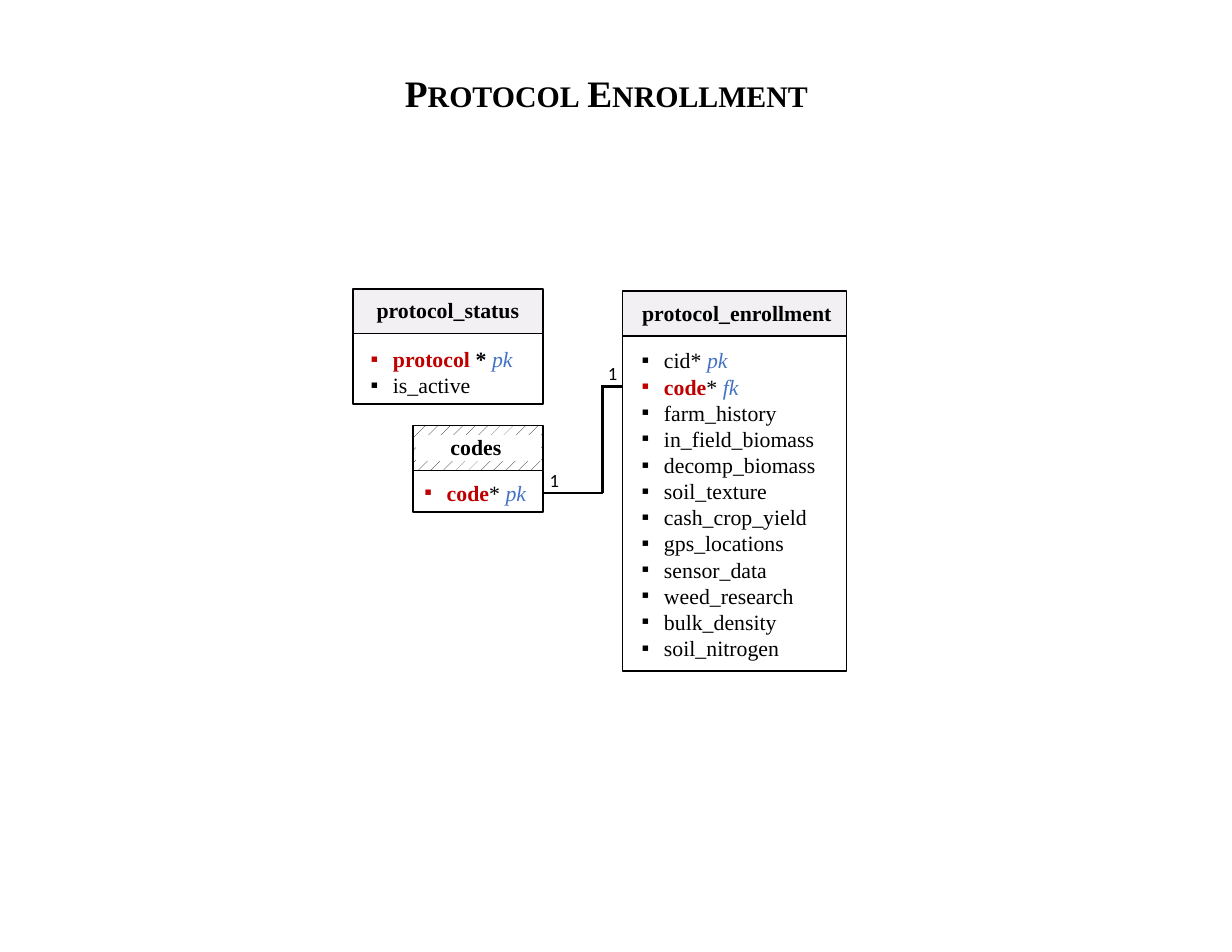
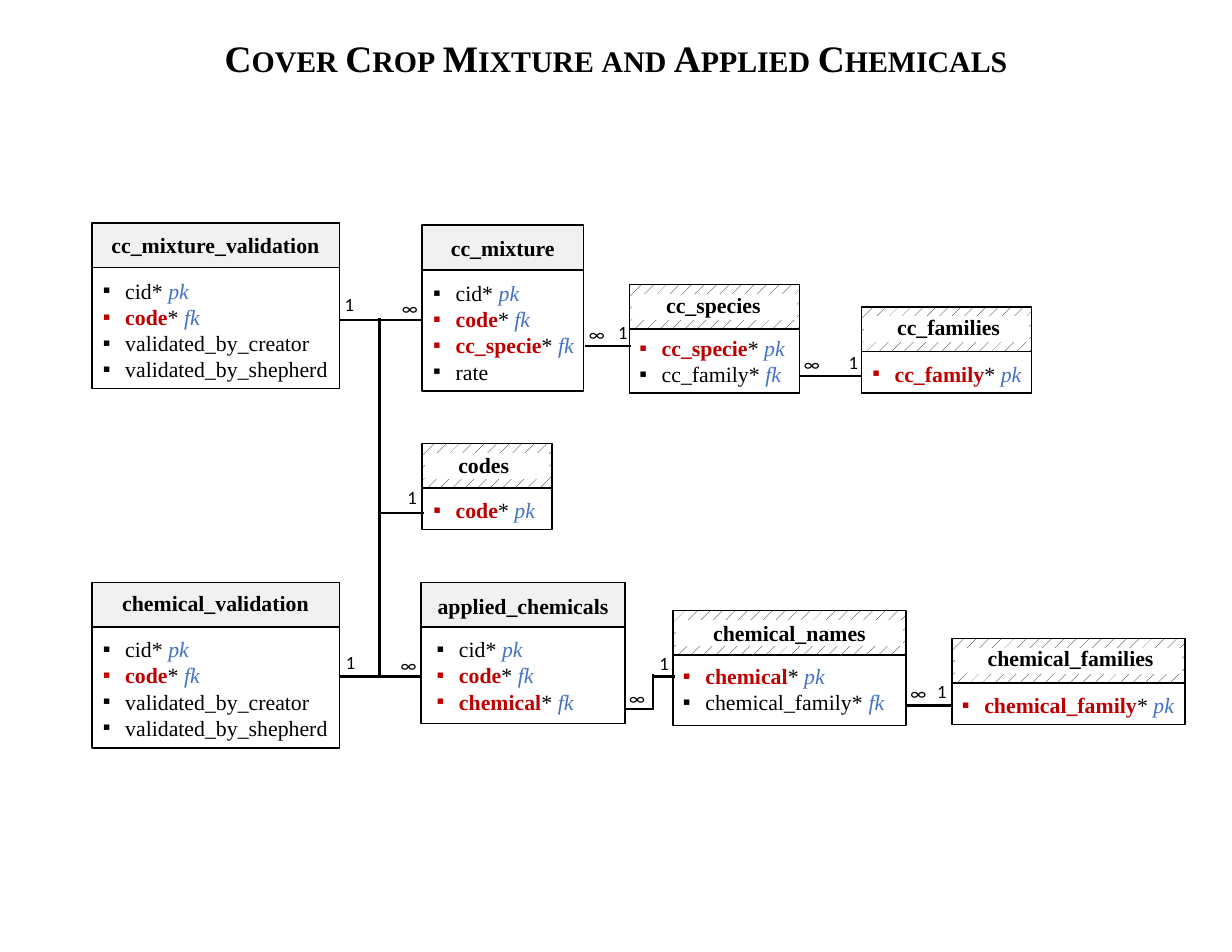
from lxml import etree
from pptx import Presentation
from pptx.dml.color import RGBColor
from pptx.enum import dml, shapes, text
from pptx.oxml.ns import qn
from pptx.util import Inches, Pt

COLORS = {"ink": "000000", "paper": "FFFFFF", "header": "F2F0F3",
          "link": "C00000", "key": "4472C4"}
SERIF, SANS = "Times New Roman", "Calibri"
HEADER_H = 0.4

# Run styles
STYLES = {
    "title": {"name": SERIF, "size": 24, "bold": True, "color": "ink"},
    "strong": {"name": SERIF, "size": 14, "bold": True, "color": "ink"},
    "plain": {"name": SERIF, "size": 14, "color": "ink"},
    "link": {"name": SERIF, "size": 14, "bold": True, "color": "link"},
    "key": {"name": SERIF, "size": 14, "italic": True, "color": "key"},
    "count": {"name": SANS, "size": 12, "color": "ink"},
}


# Field rows, each a list of (text, style) runs
def plain(name):
    return [(name, "plain")]


def keyed(name, key, style="plain"):
    return [(name, style), ("* ", "plain"), (key, "key")]


def link(name, key):
    return keyed(name, key, "link")


CID, CODE_FK, CODE_PK = keyed("cid", "pk"), link("code", "fk"), link("code", "pk")
VALIDATION = [CID, CODE_FK, plain("validated_by_creator"),
              plain("validated_by_shepherd")]
STATUS = [[("protocol", "link"), (" * ", "strong"), ("pk", "key")],
          plain("is_active")]
ENROLLMENT = [CID, CODE_FK] + [plain(name) for name in (
    "farm_history", "in_field_biomass", "decomp_biomass", "soil_texture",
    "cash_crop_yield", "gps_locations", "sensor_data", "weed_research",
    "bulk_density", "soil_nitrogen")]
MIXTURE = [CID, CODE_FK, link("cc_specie", "fk"), plain("rate")]
SPECIES = [link("cc_specie", "pk"), keyed("cc_family", "fk")]
CHEMICALS = [CID, CODE_FK, link("chemical", "fk")]
CHEM_NAMES = [link("chemical", "pk"), keyed("chemical_family", "fk")]

# Entities: name, is lookup, (left, top, width, body height),
#           name offset, fields offset, fields
# Lines: x1, y1, x2, y2; counts: text, left, top
SLIDES = [
    {
        "title": ("Protocol Enrollment", (2.3, 0.58, 6.23, 0.5)),
        "entities": [
            ("protocol_status", False, (3.15, 2.58, 1.7, 0.63),
             (0, 0.02), (0.06, 0.06), STATUS),
            ("codes", True, (3.69, 3.8, 1.16, 0.37),
             (-0.02, 0.02), (0, 0.03), [CODE_PK]),
            ("protocol_enrollment", False, (5.56, 2.6, 2, 2.99),
             (0.02, 0.03), (0.07, 0.05), ENROLLMENT),
        ],
        "lines": [(5.37, 3.45, 5.56, 3.45), (4.85, 4.4, 5.38, 4.4),
                  (5.38, 3.44, 5.38, 4.4)],
        "counts": [("1", 4.81, 4.14), ("1", 5.33, 3.18)],
    },
    {
        "title": ("Cover Crop Mixture and Applied Chemicals",
                  (0.12, 0.26, 10.76, 0.5)),
        "entities": [
            ("chemical_families", True, (8.5, 5.7, 2.08, 0.37),
             (0.02, 0.01), (-0.01, 0.03), [link("chemical_family", "pk")]),
            ("cc_mixture_validation", False, (0.82, 1.99, 2.21, 1.08),
             (0, 0.03), (0, 0.04), VALIDATION),
            ("cc_mixture", False, (3.77, 2.01, 1.44, 1.08),
             (0, 0.04), (0, 0.04), MIXTURE),
            ("codes", True, (3.77, 3.96, 1.16, 0.37),
             (-0.03, 0.02), (0, 0.03), [CODE_PK]),
            ("cc_families", True, (7.69, 2.74, 1.52, 0.37),
             (0.02, 0.01), (0, 0.03), [link("cc_family", "pk")]),
            ("cc_species", True, (5.62, 2.54, 1.52, 0.57),
             (-0.01, 0.02), (-0.01, 0), SPECIES),
            ("chemical_validation", False, (0.82, 5.2, 2.21, 1.08),
             (0, 0.02), (0, 0.03), VALIDATION),
            ("applied_chemicals", False, (3.76, 5.2, 1.82, 0.86),
             (0, 0.04), (0.04, 0.03), CHEMICALS),
            ("chemical_names", True, (6.01, 5.45, 2.08, 0.63),
             (0, 0.03), (-0.01, 0.02), CHEM_NAMES),
        ],
        "lines": [
            (5.84, 6.33, 5.57, 6.33), (6.03, 6.04, 5.83, 6.04),
            (5.83, 6.32, 5.83, 6.02), (3.79, 4.58, 3.4, 4.58),
            (3.76, 2.86, 3.04, 2.86), (3.39, 2.84, 3.39, 6.04),
            (3.77, 6.04, 3.04, 6.04), (5.63, 3.09, 5.22, 3.09),
            (7.7, 3.36, 7.14, 3.36), (8.5, 6.3, 8.09, 6.3),
        ],
        "counts": [
            ("1", 2.98, 2.57), ("∞", 3.49, 2.6), ("1", 3.54, 4.29),
            ("1", 2.99, 5.76), ("∞", 3.48, 5.79), ("1", 7.48, 3.08),
            ("1", 8.27, 6.02), ("∞", 7.08, 3.1), ("∞", 8.03, 6.04),
            ("1", 5.79, 5.77), ("1", 5.42, 2.82), ("∞", 5.16, 2.83),
            ("∞", 5.52, 6.08),
        ],
    },
]


def rgb(name):
    return RGBColor.from_string(COLORS[name])


def inches(*values):
    return [Inches(v) for v in values]


def add_run(p, words, style):
    r = p.add_run()
    r.text = words
    for key, value in STYLES[style].items():
        if key == "color":
            r.font.color.rgb = rgb(value)
        else:
            setattr(r.font, key, Pt(value) if key == "size" else value)
    return r


def add_bullet(p):
    pPr = p._p.get_or_add_pPr()
    pPr.set("marL", str(Inches(0.2)))
    pPr.set("indent", str(-Inches(0.2)))
    etree.SubElement(pPr, qn("a:buFont")).set("typeface", SERIF)
    etree.SubElement(pPr, qn("a:buChar")).set("char", "▪")


def add_text(s, box, rows, align=text.PP_ALIGN.LEFT, bullets=False):
    tf = s.shapes.add_textbox(*inches(*box)).text_frame
    tf.word_wrap = True
    tf.auto_size = text.MSO_AUTO_SIZE.SHAPE_TO_FIT_TEXT
    for i, runs in enumerate(rows):
        p = tf.add_paragraph() if i else tf.paragraphs[0]
        p.alignment = align
        if bullets:
            add_bullet(p)
        for words, style in runs:
            add_run(p, words, style)


def add_box(s, box, fill="paper", line="ink", hatched=False):
    sp = s.shapes.add_shape(shapes.MSO_SHAPE.RECTANGLE, *inches(*box))
    sp.shadow.inherit = False
    if hatched:
        sp.fill.patterned()
        sp.fill.pattern = dml.MSO_PATTERN.PERCENT_10
        sp.fill.fore_color.rgb = rgb("ink")
        sp.fill.back_color.rgb = rgb("paper")
    else:
        sp.fill.solid()
        sp.fill.fore_color.rgb = rgb(fill)
    sp.line.color.rgb = rgb(line)
    sp.line.width = Pt(1)


def add_entity(s, name, lookup, box, name_shift, field_shift, fields):
    x, y, w, body_h = box
    body_y = y + HEADER_H
    add_box(s, (x, body_y, w, body_h))
    add_box(s, (x, y, w, HEADER_H), "header", hatched=lookup)
    if lookup:  # clear strip behind the name
        add_box(s, (x + 0.03, y + 0.09, w - 0.06, 0.22), line="paper")
    dx, dy = name_shift
    add_text(s, (x + dx, y + dy, w, 0.34), [[(name, "strong")]],
             text.PP_ALIGN.CENTER)
    dx, dy = field_shift
    add_text(s, (x + dx, body_y + dy, w + 0.12, 0.1 + 0.235 * len(fields)),
             fields, bullets=True)


def add_line(s, ends):
    c = s.shapes.add_connector(shapes.MSO_CONNECTOR.STRAIGHT, *inches(*ends))
    c.line.color.rgb = rgb("ink")
    c.line.width = Pt(1.5)
    etree.SubElement(c._element.spPr, qn("a:effectLst"))


def set_title(s, words, box):
    sp = s.shapes.title
    sp.left, sp.top, sp.width, sp.height = inches(*box)
    tf = sp.text_frame
    tf.word_wrap = True
    tf.auto_size = text.MSO_AUTO_SIZE.SHAPE_TO_FIT_TEXT
    tf.vertical_anchor = text.MSO_ANCHOR.TOP
    p = tf.paragraphs[0]
    p.alignment = text.PP_ALIGN.CENTER
    r = add_run(p, words, "title")
    r.font._element.set("cap", "small")


def main():
    prs = Presentation()
    prs.slide_width, prs.slide_height = inches(11, 8.5)
    for page in SLIDES:
        s = prs.slides.add_slide(prs.slide_layouts[5])
        set_title(s, *page["title"])
        for entity in page["entities"]:
            add_entity(s, *entity)
        for ends in page["lines"]:
            add_line(s, ends)
        for words, x, y in page["counts"]:
            add_text(s, (x, y, 0.3, 0.3), [[(words, "count")]])
    prs.save("out.pptx")


if __name__ == "__main__":
    main()
